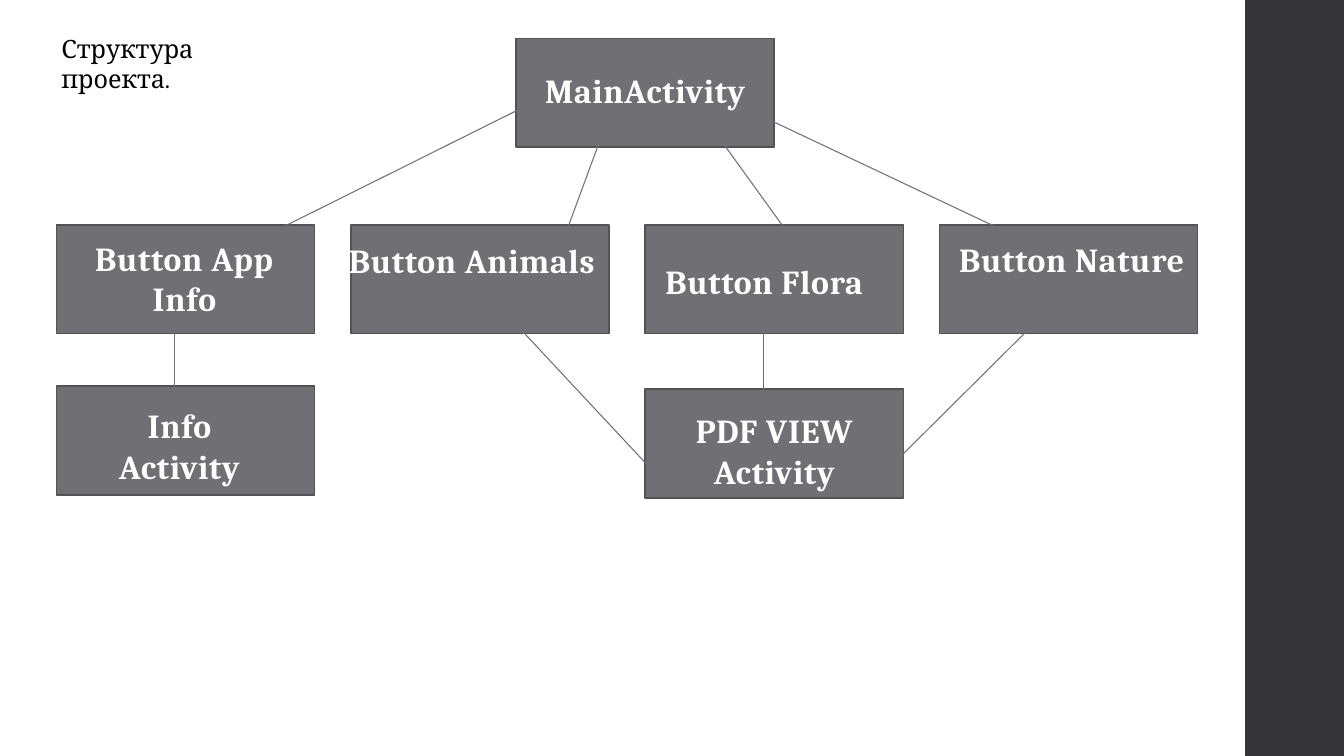
from lxml import etree
from pptx import Presentation
from pptx.dml.color import RGBColor
from pptx.enum.shapes import MSO_CONNECTOR, MSO_SHAPE
from pptx.enum.text import MSO_AUTO_SIZE, PP_ALIGN
from pptx.oxml.ns import qn
from pptx.util import Inches, Pt

RECT = MSO_SHAPE.RECTANGLE
STRAIGHT = MSO_CONNECTOR.STRAIGHT
GROW = MSO_AUTO_SIZE.SHAPE_TO_FIT_TEXT
LEFT, CENTER = PP_ALIGN.LEFT, PP_ALIGN.CENTER

WHITE = RGBColor(0xFE, 0xFE, 0xFE)
BLACK = RGBColor(0x00, 0x00, 0x00)
GRAY = RGBColor(0x6F, 0x6F, 0x74)
BORDER = RGBColor(0x52, 0x52, 0x56)
DARK = RGBColor(0x35, 0x35, 0x37)


class Diagram:
    font = "Cambria"
    box_size = 2.56, 1.08

    def __init__(self, slide):
        self.slide = slide

    def rect(self, x, y, w, h, fill, border=None):
        s = self.slide.shapes.add_shape(RECT, Inches(x), Inches(y), Inches(w), Inches(h))
        s.shadow.inherit = False
        s.fill.solid()
        s.fill.fore_color.rgb = fill
        if border is None:
            s.line.fill.background()
        else:
            s.line.color.rgb = border
            s.line.width = Pt(1.1)

    def box(self, x, y):
        self.rect(x, y, *self.box_size, GRAY, BORDER)

    def arrow(self, x1, y1, x2, y2):
        s = self.slide.shapes.add_connector(
            STRAIGHT, Inches(x1), Inches(y1), Inches(x2), Inches(y2))
        s.line.color.rgb = GRAY
        s.line.width = Pt(0.75)
        etree.SubElement(s.line._get_or_add_ln(), qn("a:tailEnd"), type="triangle")
        etree.SubElement(s._element.spPr, qn("a:effectLst"))

    def text(self, x, y, w, h, lines, size, color, align=LEFT, bold=False):
        s = self.slide.shapes.add_textbox(Inches(x), Inches(y), Inches(w), Inches(h))
        tf = s.text_frame
        tf.word_wrap = True
        tf.auto_size = GROW
        tf.text = lines
        for p in tf.paragraphs:
            p.alignment = align
            p.font.name = self.font
            p.font.size = Pt(size)
            p.font.bold = bold
            p.font.color.rgb = color
        return tf

    def label(self, x, y, h, lines):
        tf = self.text(x, y, 2.64, h, lines, 24, WHITE, CENTER, True)
        for p in tf.paragraphs:
            for r in p.runs:
                self.outline(r)

    def outline(self, r):
        """Widen the letter spacing and outline the letters."""
        props = r._r.get_or_add_rPr()
        props.set("spc", "50")
        ln = etree.Element(qn("a:ln"), w=str(Pt(0.75)))
        fill = etree.SubElement(ln, qn("a:solidFill"))
        etree.SubElement(fill, qn("a:srgbClr"), val=str(GRAY))
        props.insert(0, ln)


prs = Presentation()
prs.slide_width, prs.slide_height = Inches(13.33), Inches(7.5)
diagram = Diagram(prs.slides.add_slide(prs.slide_layouts[6]))

# Side band
diagram.rect(12.35, 0, 0.98, 7.5, DARK)

# Boxes: main activity, row of buttons, target activities
columns = [0.56 + 2.92 * i for i in range(4)]
diagram.box(5.12, 0.38)
for x in columns:
    diagram.box(x, 2.23)
diagram.box(columns[0], 3.83)
diagram.box(columns[2], 3.86)

# Arrows
ARROWS = [
    # Main activity to buttons
    (6.94, 1.1, 7.95, 2.5),
    (7.57, 1.16, 10.17, 2.39),
    (5.18, 1.07, 2.53, 2.39),
    (6.07, 1.07, 5.41, 2.86),
    # Buttons to target activities
    (1.73, 2.77, 1.73, 4.56),
    (7.57, 2.94, 7.57, 4.73),
    (10.44, 3.03, 8.7, 4.76),
    (5.12, 3.22, 6.53, 4.73),
]
for ends in ARROWS:
    diagram.arrow(*ends)

# Box labels
LABELS = [
    (6.36, 4.02, 0.91, "PDF VIEW\nActivity"),
    (3.36, 2.33, 0.91, "Button Animals"),
    (6.26, 2.54, 0.5, "Button Flora"),
    (9.31, 2.32, 0.91, "Button Nature"),
    (0.51, 2.31, 0.91, "Button App Info"),
    (5.08, 0.64, 0.5, "MainActivity"),
    (0.46, 3.97, 0.91, "Info\nActivity"),
]
for label in LABELS:
    diagram.label(*label)

# Title
diagram.text(0.51, 0.28, 2.62, 0.4, "Структура проекта.", 18, BLACK)

prs.save("out.pptx")
